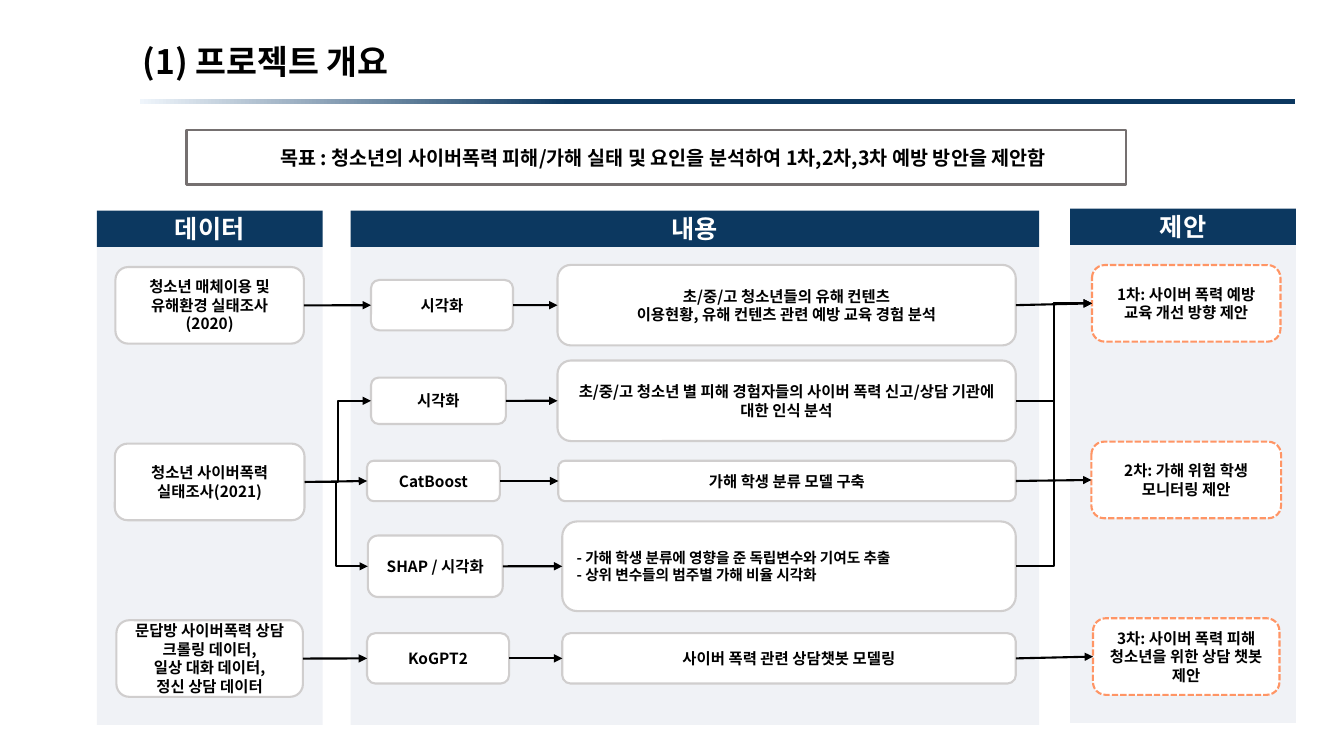
from dataclasses import dataclass

from lxml import etree
from pptx import Presentation
from pptx import util as u
from pptx.dml.color import RGBColor
from pptx.enum import dml, shapes, text
from pptx.oxml import ns


@dataclass(frozen=True)
class Theme:
    font: str = "Noto Sans CJK KR"
    navy: str = "0C3860"
    pale_blue: str = "EFF5FB"
    panel: str = "F0F2F6"
    white: str = "FFFFFF"
    black: str = "000000"
    goal_line: str = "757070"
    card_line: str = "D0CECE"
    proposal_line: str = "FF9565"
    title_size: float = 24
    header_size: float = 18
    goal_size: float = 14
    card_size: float = 11
    list_size: float = 10.5
    line_width: float = 1.5


@dataclass(frozen=True)
class Box:
    """A rectangle in centimetres."""
    left: float
    top: float
    width: float
    height: float

    def lengths(self):
        return [u.Cm(v) for v in (self.left, self.top, self.width, self.height)]


THEME = Theme()
HEADER_HEIGHT = 0.91
FIRST_CARD, CARD_STEP, CARD_HEIGHT = 1.42, 4.45, 1.93
CARD_WIDTHS = (4.75, 4.78, 4.7)
TOPIC_RIGHT = 16.76

DATA = (
    ["청소년 매체이용 및 유해환경 실태조사(2020)"],
    ["청소년 사이버폭력 실태조사(2021)"],
    ["문답방 사이버폭력 상담", "크롤링 데이터,", "일상 대화 데이터,", "정신 상담 데이터"],
)
PROPOSALS = (
    ["1차: 사이버 폭력 예방 교육 개선 방향 제안"],
    ["2차: 가해 위험 학생 모니터링 제안"],
    ["3차: 사이버 폭력 피해 청소년을 위한 상담 챗봇 제안"],
)
# centre, method (name, left, width, height), topic (paragraphs, left, height)
STUDIES = (
    (2.38, ("시각화", 0.51, 3.58, 1.27),
     (["초/중/고 청소년들의 유해 컨텐츠", "이용현황, 유해 컨텐츠 관련 예방 교육 경험 분석"], 5.21, 2.03)),
    (4.79, ("시각화", 0.51, 3.4, 1.17),
     (["초/중/고 청소년 별 피해 경험자들의 사이버 폭력 신고/상담 기관에 대한 인식 분석"], 5.21, 2.03)),
    (6.81, ("CatBoost", 0.41, 3.35, 1.02), (["가해 학생 분류 모델 구축"], 5.23, 1.02)),
    (8.96, ("SHAP / 시각화", 0.43, 3.4, 1.55),
     (["- 가해 학생 분류에 영향을 준 독립변수와 기여도 추출", "- 상위 변수들의 범주별 가해 비율 시각화"], 5.33, 2.26)),
    (11.28, ("KoGPT2", 0.41, 3.58, 1.27), (["사이버 폭력 관련 상담챗봇 모델링"], 5.33, 1.27)),
)
# data card, study row, proposal card
FLOWS = ((0, 0, 0), (1, 1, 0), (1, 2, 1), (1, 3, 0), (2, 4, 2))


def color(value):
    return RGBColor.from_string(value)


def write(shape, paragraphs, size, ink=THEME.black, align=text.PP_ALIGN.CENTER):
    frame = shape.text_frame
    frame.word_wrap = True
    frame.vertical_anchor = text.MSO_ANCHOR.MIDDLE
    for index, words in enumerate(paragraphs):
        paragraph = frame.add_paragraph() if index else frame.paragraphs[0]
        paragraph.alignment = align
        run = paragraph.add_run()
        run.text = words
        run.font.name = THEME.font
        run.font.size = u.Pt(size)
        run.font.bold = True
        run.font.color.rgb = color(ink)
        east_asian = etree.Element(ns.qn("a:ea"), typeface=THEME.font)
        run.font._element.find(ns.qn("a:latin")).addnext(east_asian)


def add_block(slide, box, fill=None, line=None, rounded=False):
    kinds = shapes.MSO_SHAPE
    kind = kinds.ROUNDED_RECTANGLE if rounded else kinds.RECTANGLE
    shape = slide.shapes.add_shape(kind, *box.lengths())
    shape.shadow.inherit = False
    if fill:
        shape.fill.solid()
        shape.fill.fore_color.rgb = color(fill)
    else:
        shape.fill.background()
    if line:
        shape.line.color.rgb = color(line)
        shape.line.width = u.Pt(THEME.line_width)
    else:
        shape.line.fill.background()
    return shape


def add_card(slide, box, paragraphs, line=THEME.card_line, size=THEME.card_size,
             align=text.PP_ALIGN.CENTER):
    card = add_block(slide, box, THEME.white, line, rounded=True)
    write(card, paragraphs, size, align=align)
    return card


def add_arrow(slide, start, end, kind=shapes.MSO_CONNECTOR.STRAIGHT):
    """Joins the right side of start to the left side of end."""
    arrow = slide.shapes.add_connector(kind, 0, 0, 0, 0)
    arrow.begin_connect(start, 3)
    arrow.end_connect(end, 1)
    arrow.line.color.rgb = color(THEME.black)
    arrow.line.width = u.Pt(THEME.line_width)
    etree.SubElement(arrow.line._get_or_add_ln(), ns.qn("a:tailEnd"), type="triangle")
    etree.SubElement(arrow._element.spPr, ns.qn("a:effectLst"))


def add_title(slide, box):
    title = slide.shapes.add_textbox(*Box(box.left - 0.18, box.top, 13.33, 1.17).lengths())
    write(title, ["(1) 프로젝트 개요"], THEME.title_size, align=text.PP_ALIGN.LEFT)
    title.text_frame.paragraphs[0].line_spacing = 0.9
    rule = add_block(slide, Box(box.left, box.top + box.height - 0.13, box.width, 0.13))
    rule.fill.gradient()
    rule.fill.gradient_angle = 0
    stops = ((0, THEME.pale_blue), (0.37, THEME.navy))
    for stop, (position, shade) in zip(rule.fill.gradient_stops, stops):
        stop.position = position
        stop.color.rgb = color(shade)


def add_goal(slide, box):
    goal = add_block(slide, box, line=THEME.goal_line)
    write(goal, ["목표 : 청소년의 사이버폭력 피해/가해 실태 및 요인을 분석하여 1차,2차,3차 예방 방안을 제안함"],
          THEME.goal_size)
    goal.text_frame.margin_left = u.Cm(0.6)


def add_panel(slide, box, heading):
    add_block(slide, Box(box.left, box.top + HEADER_HEIGHT, box.width,
                         box.height - HEADER_HEIGHT), THEME.panel)
    header = add_block(slide, Box(box.left, box.top, box.width, HEADER_HEIGHT), THEME.navy)
    write(header, [heading], THEME.header_size, THEME.white)


def add_side_panel(slide, box, heading, entries, line, shift=0.0):
    """Stacks cards at an equal step, centred in the panel but for the shift."""
    add_panel(slide, box, heading)
    cards = []
    for row, (paragraphs, width) in enumerate(zip(entries, CARD_WIDTHS)):
        card_box = Box(box.left + (box.width - width) / 2 + shift,
                       box.top + FIRST_CARD + row * CARD_STEP, width, CARD_HEIGHT)
        cards.append(add_card(slide, card_box, paragraphs, line))
    return cards


def add_study_panel(slide, box):
    add_panel(slide, box, "내용")
    pairs = []
    for center, (name, left, width, height), (topic, topic_left, topic_height) in STUDIES:
        middle = box.top + center
        method_card = add_card(
            slide, Box(box.left + left, middle - height / 2, width, height), [name])
        is_list = topic[0].startswith("-")
        topic_card = add_card(
            slide, Box(box.left + topic_left, middle - topic_height / 2,
                       TOPIC_RIGHT - topic_left, topic_height), topic,
            size=THEME.list_size if is_list else THEME.card_size,
            align=text.PP_ALIGN.LEFT if is_list else text.PP_ALIGN.CENTER)
        add_arrow(slide, method_card, topic_card)
        pairs.append((method_card, topic_card))
    return pairs


def main():
    presentation = Presentation()
    presentation.slide_width, presentation.slide_height = u.Cm(33.87), u.Cm(19.05)
    slide = presentation.slides.add_slide(presentation.slide_layouts[6])
    add_title(slide, Box(3.53, 1.02, 29.11, 1.6))
    add_goal(slide, Box(4.7, 3.28, 23.67, 1.37))
    sources = add_side_panel(slide, Box(2.44, 5.31, 5.69, 12.96), "데이터", DATA,
                             THEME.card_line)
    studies = add_study_panel(slide, Box(8.84, 5.31, 17.35, 12.96))
    proposals = add_side_panel(slide, Box(26.97, 5.26, 5.69, 12.96), "제안", PROPOSALS,
                               THEME.proposal_line, shift=0.08)
    for card in proposals:
        card.line.dash_style = dml.MSO_LINE.SQUARE_DOT
    kinds = shapes.MSO_CONNECTOR
    for source, study, proposal in FLOWS:
        method_card, topic_card = studies[study]
        kind = kinds.ELBOW if study in (1, 3) else kinds.STRAIGHT
        add_arrow(slide, sources[source], method_card, kind)
        add_arrow(slide, topic_card, proposals[proposal], kind)
    presentation.save("out.pptx")


if __name__ == "__main__":
    main()
